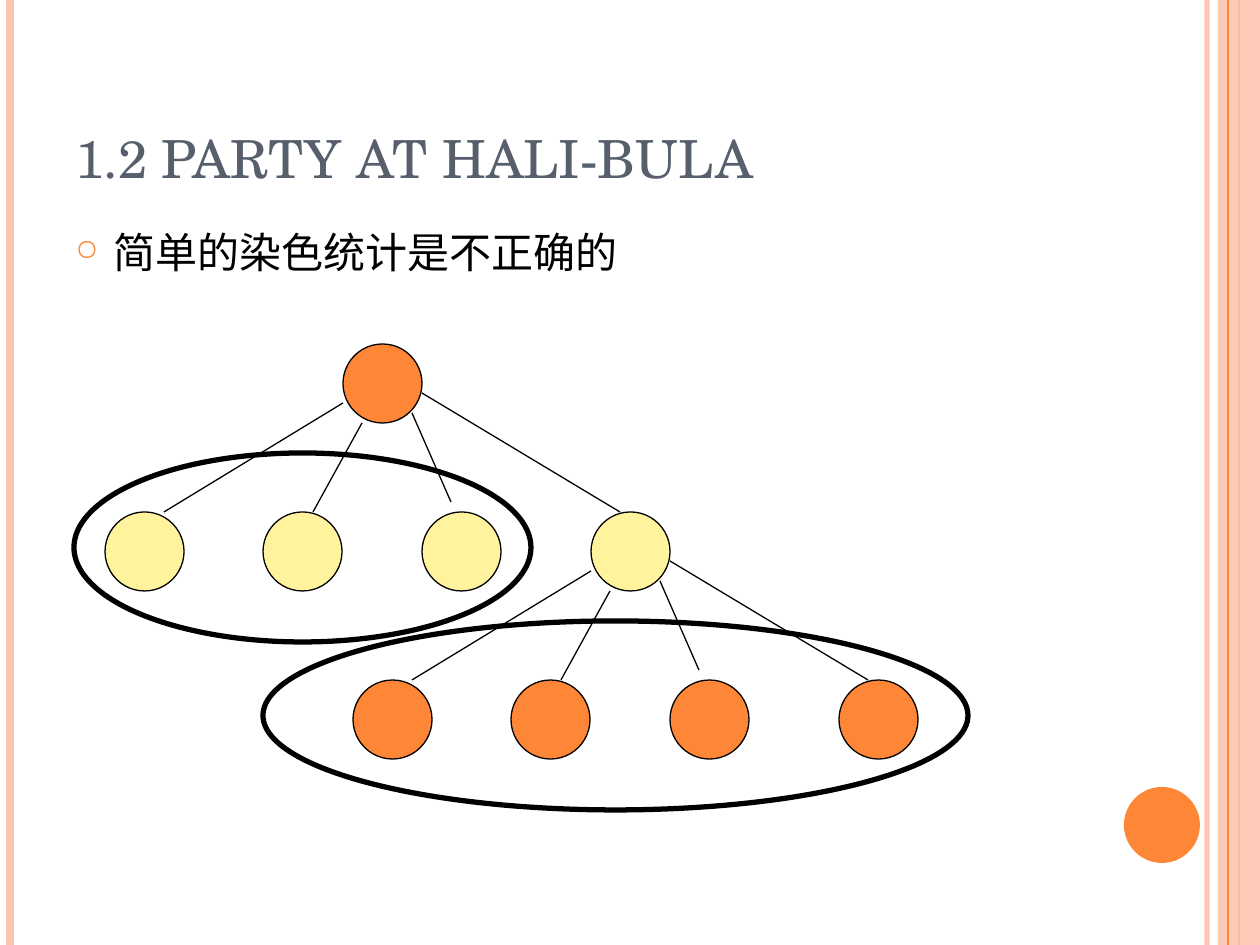
from pptx import Presentation
from pptx.dml.color import RGBColor
from pptx.enum.shapes import MSO_CONNECTOR, MSO_SHAPE
from pptx.enum.text import MSO_ANCHOR
from pptx.oxml.ns import qn
from pptx.util import Pt
from lxml.etree import SubElement

SCALE = 914400 // 126
WIDTH, HEIGHT = 1260, 945
NODE_SIZE = 79
FONT = "TeX Gyre Schola"
COLORS = {
    "orange": "FE8637",
    "peach": "FEC3AE",
    "yellow": "FFF39D",
    "slate": "575F6D",
    "black": "000000",
}
CHILD_OFFSETS = [(-238, 168), (-80, 168), (79, 168), (248, 168)]
BRANCHES = [
    ((0, 59), (-179, 168)),
    ((19, 79), (-30, 168)),
    ((69, 69), (108, 158)),
    ((79, 49), (277, 168)),
]


def emu(*pixels):
    return [value * SCALE for value in pixels]


def color(name):
    return RGBColor.from_string(COLORS[name])


def set_opacity(element, percent):
    fill_color = next(element.iter(qn("a:srgbClr")))
    SubElement(fill_color, qn("a:alpha"), val=str(percent * 1000))


def add_line(slide, start, end, line_color="black", width=0.75, opacity=100):
    line = slide.shapes.add_connector(MSO_CONNECTOR.STRAIGHT, *emu(*start, *end))
    line.line.color.rgb = color(line_color)
    line.line.width = Pt(width)
    properties = line._element.spPr
    if opacity < 100:
        set_opacity(properties, opacity)
    SubElement(properties, qn("a:effectLst"))


def add_figure(slide, kind, box, fill=None, line_width=0, opacity=100):
    shape = slide.shapes.add_shape(kind, *emu(*box))
    shape.shadow.inherit = False
    if fill:
        shape.fill.solid()
        shape.fill.fore_color.rgb = color(fill)
        if opacity < 100:
            set_opacity(shape._element.spPr, opacity)
    else:
        shape.fill.background()
    if line_width:
        shape.line.color.rgb = color("black")
        shape.line.width = Pt(line_width)
    else:
        shape.line.fill.background()


def add_text(slide, box, text, size, text_color, anchor=MSO_ANCHOR.TOP):
    frame = slide.shapes.add_textbox(*emu(*box)).text_frame
    frame.word_wrap = True
    frame.vertical_anchor = anchor
    paragraph = frame.paragraphs[0]
    paragraph.text = text
    paragraph.font.name = FONT
    paragraph.font.size = Pt(size)
    paragraph.font.color.rgb = color(text_color)
    return paragraph


def add_bullet(paragraph):
    paragraph.space_before = Pt(6)
    properties = paragraph._p.get_or_add_pPr()
    indent = 38 * SCALE
    properties.set("marL", str(indent))
    properties.set("indent", str(-indent))
    bullet_color = SubElement(properties, qn("a:buClr"))
    SubElement(bullet_color, qn("a:srgbClr"), val=COLORS["orange"])
    SubElement(properties, qn("a:buSzPct"), val="70000")
    SubElement(properties, qn("a:buChar"), char="○")
    default_font = properties.find(qn("a:defRPr"))
    if default_font is not None:
        properties.append(default_font)


def add_node(slide, left, top, fill):
    add_figure(slide, MSO_SHAPE.OVAL, (left, top, NODE_SIZE, NODE_SIZE), fill, 0.75)


def add_children(slide, left, top, fill):
    for across, down in CHILD_OFFSETS:
        add_node(slide, left + across, top + down, fill)
    for start, end in BRANCHES:
        add_line(
            slide,
            (left + start[0], top + start[1]),
            (left + end[0], top + end[1]),
        )


def add_decoration(slide):
    for x, line_color, width, opacity in [
        (1207, "peach", 3, 93),
        (10, "peach", 4.5, 100),
        (1239, "orange", 1.5, 100),
    ]:
        add_line(slide, (x, 0), (x, HEIGHT), line_color, width, opacity)
    add_figure(slide, MSO_SHAPE.RECTANGLE, (1218, 0, 42, HEIGHT), "peach", opacity=87)
    add_line(slide, (1228, 0), (1228, HEIGHT), "orange")
    add_figure(slide, MSO_SHAPE.OVAL, (1124, 787, 76, 76), "orange")


def main():
    presentation = Presentation()
    presentation.slide_width, presentation.slide_height = emu(WIDTH, HEIGHT)
    slide = presentation.slides.add_slide(presentation.slide_layouts[6])

    add_decoration(slide)
    add_text(slide, (63, 38, 1029, 157), "1.2 PARTY AT HALI-BULA", 30, "slate",
             MSO_ANCHOR.BOTTOM)
    add_bullet(add_text(slide, (63, 220, 1029, 672), "简单的染色统计是不正确的",
                        24, "black"))

    root = (343, 344)
    branch = (root[0] + CHILD_OFFSETS[-1][0], root[1] + CHILD_OFFSETS[-1][1])
    add_node(slide, *root, "orange")
    add_children(slide, *root, "yellow")
    add_children(slide, *branch, "orange")
    for group in [(74, 453, 457, 189), (263, 621, 705, 189)]:
        add_figure(slide, MSO_SHAPE.OVAL, group, line_width=3)

    presentation.save("out.pptx")


main()
